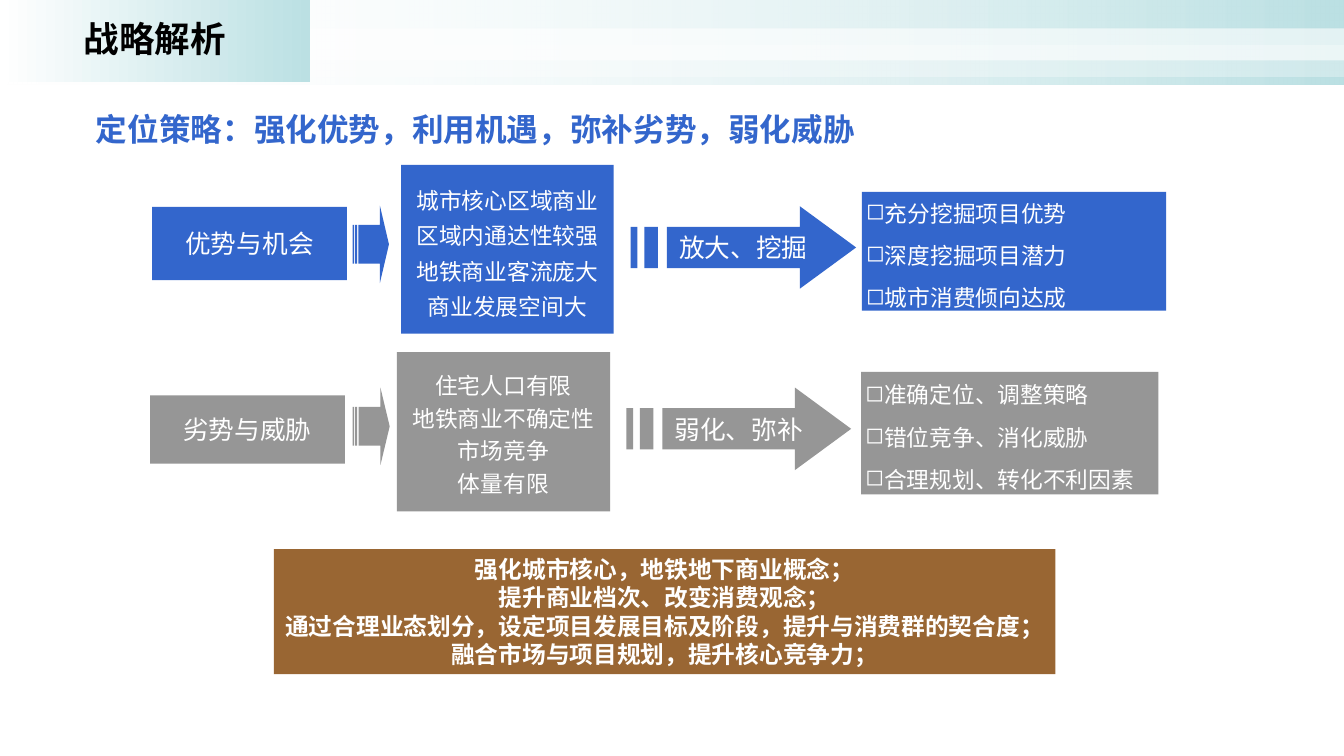
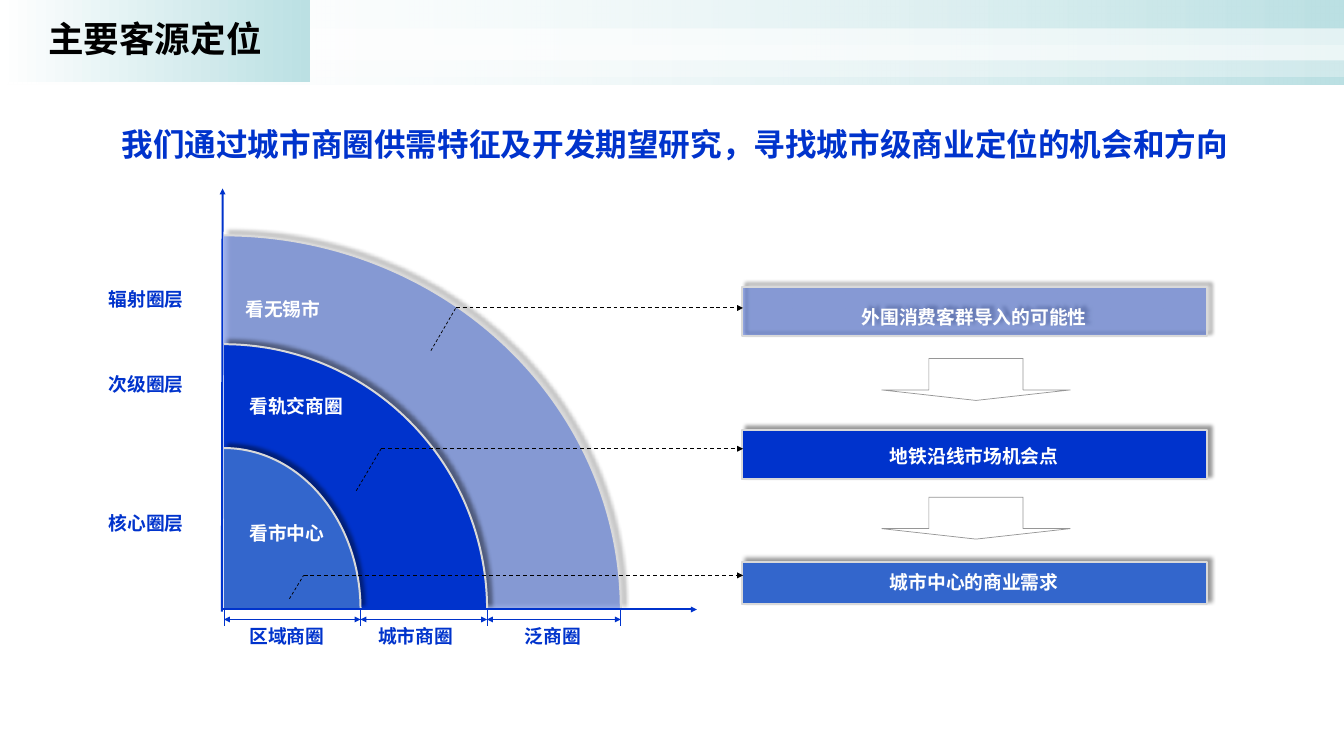
from copy import deepcopy

from lxml import etree
from pptx import Presentation
from pptx.dml.color import RGBColor
from pptx.enum.dml import MSO_LINE
from pptx.enum.shapes import MSO_CONNECTOR, MSO_SHAPE
from pptx.enum.text import MSO_ANCHOR, PP_ALIGN
from pptx.oxml.ns import qn
from pptx.util import Inches, Pt

RECT, DOWN_ARROW = MSO_SHAPE.RECTANGLE, MSO_SHAPE.DOWN_ARROW
STRAIGHT, DASH = MSO_CONNECTOR.STRAIGHT, MSO_LINE.DASH
LEFT, CENTER, JUSTIFY = PP_ALIGN.LEFT, PP_ALIGN.CENTER, PP_ALIGN.JUSTIFY
TOP, MIDDLE = MSO_ANCHOR.TOP, MSO_ANCHOR.MIDDLE

FONT = "Noto Sans CJK SC"
COLORS = {
    "white": "FFFFFF", "black": "000000", "aqua": "BBE0E3", "blue": "3366CC",
    "royal": "0033CC", "gray": "969696", "brown": "996633", "edge": "D9D9D9",
}
COLS, ROWS = 189, 106.3
CELL = Inches(0.1)


def cells(*values):
    return [round(v * CELL) for v in values]


def rgb(name):
    return RGBColor.from_string(COLORS[name])


def add_xml(parent, tag, **attrs):
    return etree.SubElement(parent, qn(tag), {k: str(v) for k, v in attrs.items()})


def add_alpha(color_element, percent):
    add_xml(color_element, "a:alpha", val=percent * 1000)


class Deck:
    def __init__(self):
        self.prs = Presentation()
        self.prs.slide_width, self.prs.slide_height = cells(COLS, ROWS)
        self.s = None

    def slide(self, title):
        self.s = self.prs.slides.add_slide(self.prs.slide_layouts[6])
        self.gradient((0, 0, COLS, 11.9), fade=True)
        self.shape((0, 4, COLS, 4.5), "white", alpha=60)
        self.shape((0, 6.3, COLS, 4.5), "white", alpha=31)
        tag = self.gradient((0, 0, 43.6, 11.5))
        self.put_text(tag, [title], 36, "black", bold=True, spacing=0.9)

    def style(self, sp, fill=None, alpha=None, line=None, width=2, shadow=False):
        sp.shadow.inherit = False
        if fill:
            sp.fill.solid()
            sp.fill.fore_color.rgb = rgb(fill)
        else:
            sp.fill.background()
        spPr = sp._element.spPr
        if alpha is not None:
            add_alpha(spPr.find(qn("a:solidFill"))[0], alpha)
        if line:
            sp.line.color.rgb = rgb(line)
            sp.line.width = Pt(width)
        else:
            sp.line.fill.background()
        if shadow:
            outer = add_xml(spPr.find(qn("a:effectLst")), "a:outerShdw", blurRad=Pt(4),
                            dist=Pt(5), dir=315 * 60000, algn="bl", rotWithShape=0)
            add_alpha(add_xml(outer, "a:srgbClr", val=COLORS["black"]), 40)
        return sp

    def shape(self, at, fill=None, kind=RECT, **look):
        return self.style(self.s.shapes.add_shape(kind, *cells(*at)), fill, **look)

    def gradient(self, at, fade=False):
        sp = self.shape(at)
        sp.fill.gradient()
        sp.fill.gradient_angle = 0
        for stop, name in zip(sp.fill.gradient_stops, ("white", "aqua")):
            stop.color.rgb = rgb(name)
        if fade:
            add_alpha(next(sp._element.spPr.iter(qn("a:srgbClr"))), 0)
        return sp

    def put_text(self, sp, lines, size, color="white", bold=False, align=CENTER,
                 anchor=MIDDLE, insets=(1, 0.5), spacing=None, before=0, bullet=None,
                 wrap=True):
        tf = sp.text_frame
        tf.word_wrap = wrap
        tf.vertical_anchor = anchor
        tf.margin_left, tf.margin_top = tf.margin_right, tf.margin_bottom = cells(*insets)
        for i, line in enumerate(lines):
            p = tf.add_paragraph() if i else tf.paragraphs[0]
            p.text = line
            p.alignment = align
            if bullet:
                add_xml(p._p.get_or_add_pPr(), "a:buChar", char=bullet)
            if spacing:
                p.line_spacing = spacing
            if i and before:
                p.space_before = Pt(before)
            p.font.size, p.font.bold, p.font.name = Pt(size), bold, FONT
            p.font.color.rgb = rgb(color)
            add_xml(p._p.pPr.find(qn("a:defRPr")), "a:ea", typeface=FONT)

    def label(self, at, text, size=19, color="royal", align=LEFT, insets=(0, 0)):
        sp = self.s.shapes.add_textbox(*cells(*at))
        self.put_text(sp, [text], size, color, bold=True, align=align, anchor=TOP,
                      insets=insets)

    def striped_arrow(self, at, fill):
        x, y, w, h = at

        def points(*shares):
            return [tuple(cells(x + a * w, y + b * h)) for a, b in shares]

        def stripe(a, b):
            return points((a, 0.25), (b, 0.25), (b, 0.75), (a, 0.75))

        head = points((0.75, 0), (0.75, 0.25), (0.16, 0.25), (0.16, 0.75),
                      (0.75, 0.75), (0.75, 1), (1, 0.5))
        fb = self.s.shapes.build_freeform(*head[0])
        fb.add_line_segments(head[1:])
        for start, *rest in (stripe(0.06, 0.12), stripe(0, 0.03)):
            fb.move_to(*start)
            fb.add_line_segments(rest)
        return self.style(fb.convert_to_shape(), fill)

    def sector(self, at, fill, alpha=None):
        x, y, w, h = cells(*at)
        fb = self.s.shapes.build_freeform(x, y)
        fb.add_line_segments([(x + w, y + h), (x, y + h)])
        sp = self.style(fb.convert_to_shape(), fill, alpha, line="edge", shadow=True)
        area = next(sp._element.iter(qn("a:path")))
        arc = add_xml(area, "a:arcTo", wR=w, hR=h, stAng=270 * 60000, swAng=90 * 60000)
        area.replace(area[1], arc)
        rim = deepcopy(area)
        for part in rim[2:]:
            rim.remove(part)
        area.set("stroke", "0")
        rim.set("fill", "none")
        area.addprevious(rim)

    def line(self, start, end, color="royal", width=0.75, head=False, tail=False, dash=False):
        c = self.s.shapes.add_connector(STRAIGHT, *cells(*start, *end))
        c.line.color.rgb = rgb(color)
        c.line.width = Pt(width)
        if dash:
            c.line.dash_style = DASH
        spPr = c._element.spPr
        for tag, wanted in (("a:headEnd", head), ("a:tailEnd", tail)):
            if wanted:
                add_xml(spPr.find(qn("a:ln")), tag, type="triangle")
        add_xml(spPr, "a:effectLst")


def strategy_slide(deck):
    deck.slide("战略解析")
    deck.label((12.3, 14.9, 117.7, 6.5), "定位策略：强化优势，利用机遇，弥补劣势，弱化威胁",
               32, "blue", insets=(1.2, 0.6))
    tight = {"insets": (0.6, 0)}
    flows = [
        ("blue",
         (21.4, 29.1, 27.4, 10.3), "优势与机会",
         (49.6, 28.9, 5.1, 10.9),
         (56.4, 23.2, 29.9, 23.7), 1.3,
         ["城市核心区域商业", "区域内通达性较强", "地铁商业客流庞大", "商业发展空间大"],
         (88.7, 29, 31.7, 11.6), "放大、挖掘",
         (121.2, 27, 42.8, 16.7),
         ["充分挖掘项目优势", "深度挖掘项目潜力", "城市消费倾向达成"]),
        ("gray",
         (21.1, 55.6, 27.4, 9.6), "劣势与威胁",
         (49.6, 54.5, 5.2, 10.9),
         (55.8, 49.5, 30, 22.4), 1.2,
         ["住宅人口有限", "地铁商业不确定性", "市场竞争", "体量有限"],
         (88.1, 54.5, 31.6, 11.6), "弱化、弥补",
         (121.1, 52.3, 41.8, 17.2),
         ["准确定位、调整策略", "错位竞争、消化威胁", "合理规划、转化不利因素"]),
    ]
    for (color, topic_at, topic, link_at, facts_at, spacing, facts,
         action_at, action, goals_at, goals) in flows:
        deck.put_text(deck.shape(topic_at, color), [topic], 26, **tight)
        deck.striped_arrow(link_at, color)
        deck.put_text(deck.shape(facts_at, color), facts, 23, spacing=spacing, **tight)
        deck.put_text(deck.striped_arrow(action_at, color), [action], 26, **tight)
        deck.put_text(deck.shape(goals_at, color), goals, 23, align=JUSTIFY, spacing=1.3,
                      before=7, bullet="◻", **tight)
    summary = ["强化城市核心，地铁地下商业概念；", "提升商业档次、改变消费观念；",
               "通过合理业态划分，设定项目发展目标及阶段，提升与消费群的契合度；",
               "融合市场与项目规划，提升核心竞争力；"]
    deck.put_text(deck.shape((38.5, 77.2, 109.9, 17.6), "brown"), summary, 24, bold=True,
                  insets=(1.6, 0.8), wrap=False)


def customer_slide(deck):
    deck.slide("主要客源定位")
    deck.put_text(deck.shape((13.7, 16.5, 162.5, 7.5), "white"),
                  ["我们通过城市商圈供需特征及开发期望研究，寻找城市级商业定位的机会和方向"],
                  32, "royal", bold=True, insets=(1.7, 0.8))

    origin, base = 31.5, 85.7
    rings = [
        (55.8, 52.6, "royal", 38, "看无锡市", (34.5, 41.9), "辐射圈层", 40.5),
        (37, 37.3, "royal", None, "看轨交商圈", (35.1, 55.5), "次级圈层", 52.4),
        (19.2, 22.7, "blue", None, "看市中心", (35.1, 73.3), "核心圈层", 71.9),
    ]
    for rx, ry, color, alpha, *_ in rings:
        deck.sector((origin, base - ry, rx, ry), color, alpha)
    deck.line((31.3, base), (98, base), width=2, tail=True)
    deck.line((31.2, 86), (31.3, 26.5), width=2, tail=True)
    for *_, name, (x, y), layer, layer_y in rings:
        deck.label((x, y, 24, 3.2), name, color="white")
        deck.label((12.8, layer_y, 15.5, 3.2), layer, align=CENTER)

    ticks = [origin] + [origin + ring[0] for ring in reversed(rings)]
    for x in ticks:
        deck.line((x, 85.5), (x, 88))
    for left, right in zip(ticks, ticks[1:]):
        deck.line((left, 87.1), (right, 87.1), head=True, tail=True)
    for x, zone in ((34.1, "区域商圈"), (52.2, "城市商圈"), (72.8, "泛商圈")):
        deck.label((x, 87.3, 18, 4.2), zone, insets=(1, 0.5))

    findings = [
        (40.3, 6.9, "royal", 38, 1.5, "外围消费客群导入的可能性", (60.6, 49.3), (64.1, 43.3)),
        (60.5, 6.9, "royal", None, Pt(25), "地铁沿线市场机会点", (50.1, 69), (53.6, 63.1)),
        (79, 6, "blue", None, Pt(20), "城市中心的商业需求", (40.7, 84.2), (42.7, 80.9)),
    ]
    for y, h, color, alpha, spacing, text, foot, bend in findings:
        bar = deck.shape((104.3, y, 65.4, h), color, alpha=alpha, line="edge", shadow=True)
        deck.put_text(bar, [text], 19, bold=True, spacing=spacing)
        deck.line(foot, bend, "black", dash=True)
        deck.line(bend, (104.5, bend[1]), "black", 1, tail=True, dash=True)
    for y in (50.4, 69.9):
        arrow = deck.shape((124, y, 26.5, 5.9), kind=DOWN_ARROW, line="gray", width=0.75)
        arrow.adjustments[1] = 0.25


def main():
    deck = Deck()
    strategy_slide(deck)
    customer_slide(deck)
    deck.prs.save("out.pptx")


if __name__ == "__main__":
    main()
